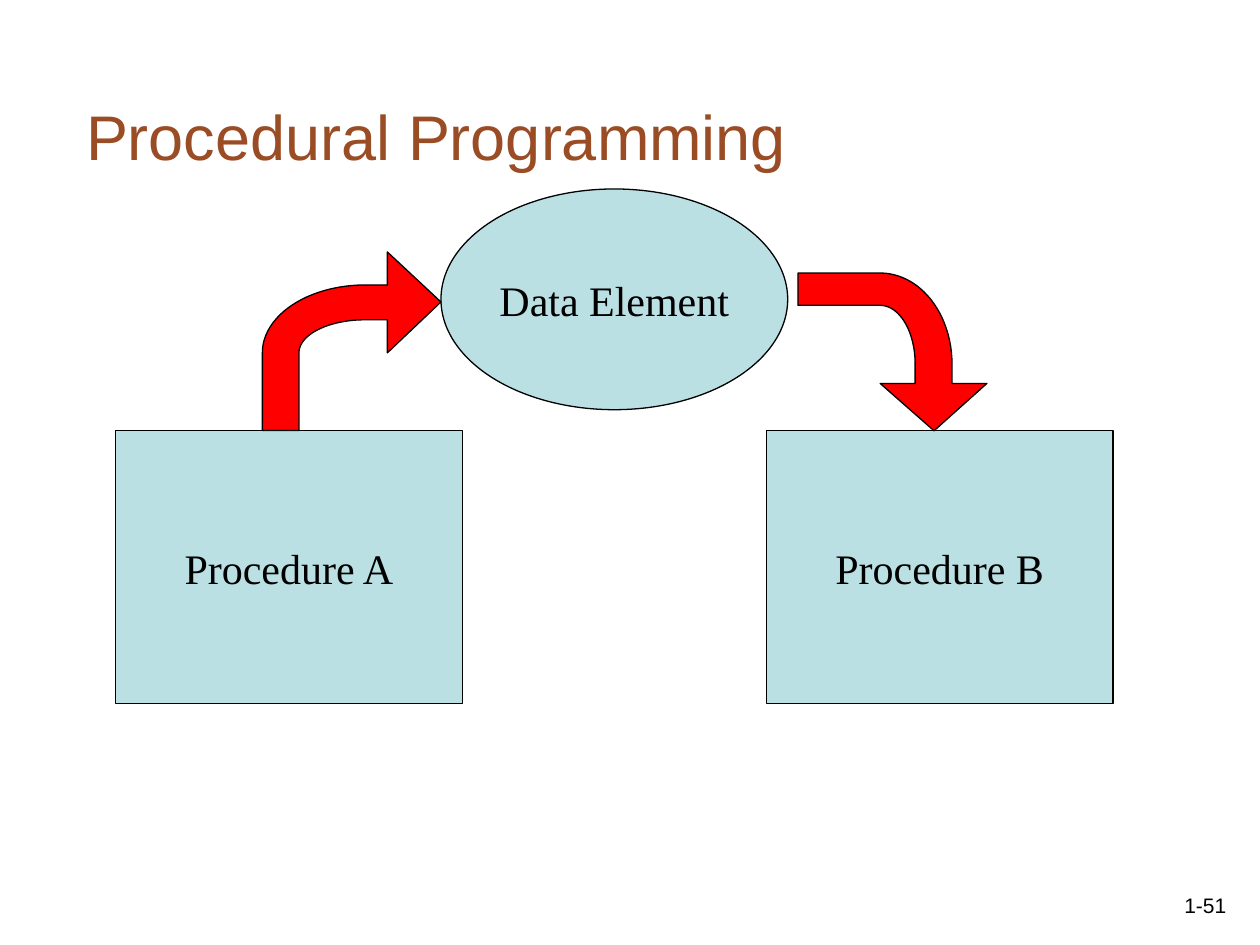
from dataclasses import dataclass
from math import cos, pi, sin

from pptx import Presentation
from pptx.dml.color import RGBColor
from pptx.enum.shapes import MSO_SHAPE
from pptx.enum.text import MSO_ANCHOR, MSO_AUTO_SIZE, PP_ALIGN
from pptx.util import Cm, Pt

BLACK, BROWN, PALE_BLUE, RED = "000000", "9A4C25", "BBE0E3", "FF0000"


@dataclass
class Box:
    left: float
    top: float
    width: float
    height: float

    def lengths(self) -> tuple:
        return Cm(self.left), Cm(self.top), Cm(self.width), Cm(self.height)


@dataclass
class Node:
    label: str
    kind: MSO_SHAPE
    box: Box


@dataclass
class BentArrow:
    box: Box
    rotation: int


NODES = [
    Node("Procedure A", MSO_SHAPE.RECTANGLE, Box(2.33, 8.68, 6.99, 5.51)),
    Node("Data Element", MSO_SHAPE.OVAL, Box(8.89, 3.81, 6.99, 4.45)),
    Node("Procedure B", MSO_SHAPE.RECTANGLE, Box(15.45, 8.68, 6.99, 5.51)),
]
ARROWS = [
    BentArrow(Box(5.29, 5.08, 3.6, 3.6), 0),
    BentArrow(Box(16.4, 5.19, 3.18, 3.81), 90),
]


def color(value: str) -> RGBColor:
    return RGBColor.from_string(value)


def write(s, text: str, size: int, font: str, ink: str, align, **frame) -> None:
    tf = s.text_frame
    for name, value in frame.items():
        setattr(tf, name, value)
    p = tf.paragraphs[0]
    p.alignment = align
    r = p.add_run()
    r.text = text
    for name, value in {"size": Pt(size), "name": font}.items():
        setattr(r.font, name, value)
    r.font.color.rgb = color(ink)


def paint(s, fill: str) -> None:
    s.shadow.inherit = False
    s.fill.solid()
    s.fill.fore_color.rgb = color(fill)
    s.line.color.rgb = color(BLACK)
    s.line.width = Pt(0.75)


def add_node(slide, node: Node) -> None:
    s = slide.shapes.add_shape(node.kind, *node.box.lengths())
    paint(s, PALE_BLUE)
    write(s, node.label, 24, "Times New Roman", BLACK, PP_ALIGN.CENTER,
          word_wrap=False, vertical_anchor=MSO_ANCHOR.MIDDLE)


def bend(rx: float, ry: float, steps: int = 24) -> list:
    """Quarter ellipse from its left end to its top, as shares of the box."""
    angles = [pi / 2 * i / steps for i in range(steps + 1)]
    return [(0.575 - rx * cos(a), 0.565 - ry * sin(a)) for a in angles]


def add_bent_arrow(slide, arrow: BentArrow) -> None:
    left, top, width, height = arrow.box.lengths()
    outer, inner = bend(0.575, 0.38), bend(0.37, 0.185)
    outline = [(1, 0.28), (0.7, 0), (0.7, 0.185), *reversed(outer),
               (0, 1), (0.205, 1), *inner, (0.7, 0.38), (0.7, 0.565)]
    points = [(left + x * width, top + y * height) for x, y in outline]
    builder = slide.shapes.build_freeform(*points[0])
    builder.add_line_segments(points[1:], close=True)
    s = builder.convert_to_shape()
    s.rotation = arrow.rotation
    paint(s, RED)


def main() -> None:
    prs = Presentation()
    prs.slide_width, prs.slide_height = Cm(25.4), Cm(19.05)
    slide = prs.slides.add_slide(prs.slide_layouts[5])

    # Title
    title = slide.shapes.title
    title.left, title.top, title.width, title.height = Box(1.48, 0.85, 23.92, 2.77).lengths()
    write(title, "Procedural Programming", 36, "Arial", BROWN, PP_ALIGN.LEFT,
          auto_size=MSO_AUTO_SIZE.NONE, vertical_anchor=MSO_ANCHOR.BOTTOM)

    # Diagram
    for node in NODES:
        add_node(slide, node)
    for arrow in ARROWS:
        add_bent_arrow(slide, arrow)

    # Page number
    number = slide.shapes.add_textbox(*Box(19.69, 17.35, 5.28, 1.27).lengths())
    write(number, "1-51", 12, "Arial", BLACK, PP_ALIGN.RIGHT,
          word_wrap=True, vertical_anchor=MSO_ANCHOR.BOTTOM)

    prs.save("out.pptx")


if __name__ == "__main__":
    main()
